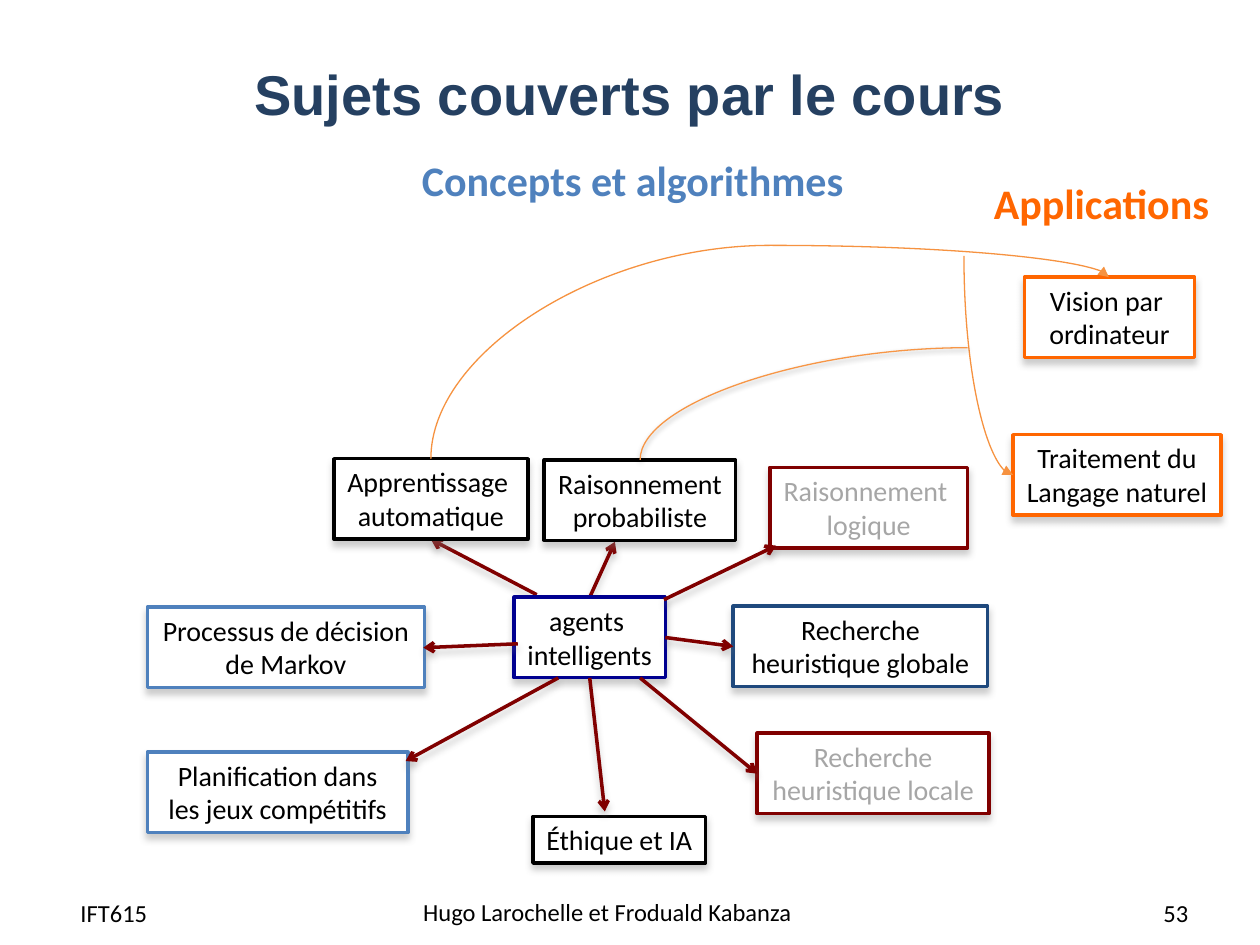
from pptx import Presentation
from pptx.dml.color import RGBColor
from pptx.enum.dml import MSO_LINE
from pptx.enum.shapes import MSO_CONNECTOR, MSO_SHAPE
from pptx.enum.text import MSO_ANCHOR, MSO_AUTO_SIZE, PP_ALIGN
from pptx.oxml import parse_xml
from pptx.oxml.ns import nsdecls, qn
from pptx.util import Pt


def color(value):
    return RGBColor.from_string(value)


def assign(target, values):
    for name, value in values.items():
        setattr(target, name, value)


class Painter:
    body_font = {"name": "Calibri", "size": Pt(16), "bold": False}
    title_font = {"name": "Arial", "size": Pt(32), "bold": True}
    heading_font = {"name": "Calibri", "size": Pt(24), "bold": True}
    footer_font = {"name": "Calibri", "size": Pt(14), "bold": False}
    box_frame = {"vertical_anchor": MSO_ANCHOR.TOP, "auto_size": MSO_AUTO_SIZE.SHAPE_TO_FIT_TEXT}
    heading_frame = {"word_wrap": False, "auto_size": MSO_AUTO_SIZE.SHAPE_TO_FIT_TEXT}
    footer_frame = {"word_wrap": True, "vertical_anchor": MSO_ANCHOR.MIDDLE}
    box_shadow = ("808080", 40, 4, 3)
    link_shadow = ("000000", 38, 3.1, 1.6)

    def __init__(self, slide):
        self.slide = slide

    def fill_text(self, frame, lines, font, ink, align):
        for index, line in enumerate(lines):
            para = frame.paragraphs[0] if index == 0 else frame.add_paragraph()
            para.alignment = align
            span = para.add_run()
            span.text = line
            assign(span.font, font)
            span.font.color.rgb = color(ink)

    def effects(self, item, shadow=None):
        properties = item._element.spPr
        for old in properties.findall(qn("a:effectLst")):
            properties.remove(old)
        inner = ""
        if shadow:
            ink, alpha, blur, distance = shadow
            inner = (
                f'<a:outerShdw blurRad="{Pt(blur)}" dist="{Pt(distance)}" dir="5400000" rotWithShape="0">'
                f'<a:srgbClr val="{ink}"><a:alpha val="{alpha * 1000}"/></a:srgbClr></a:outerShdw>'
            )
        properties.append(parse_xml(f'<a:effectLst {nsdecls("a")}>{inner}</a:effectLst>'))

    def stroke(self, line, ink, width):
        line.color.rgb = color(ink)
        assign(line, {"width": Pt(width), "dash_style": MSO_LINE.SOLID})

    def arrowhead(self, connector, kind):
        outline = connector.line._get_or_add_ln()
        outline.append(parse_xml(f'<a:tailEnd {nsdecls("a")} type="{kind}"/>'))

    def title(self, text, left, top, width, height):
        box = self.slide.shapes.title
        assign(box, {"left": Pt(left), "top": Pt(top), "width": Pt(width), "height": Pt(height)})
        box.text_frame.vertical_anchor = MSO_ANCHOR.MIDDLE
        self.fill_text(box.text_frame, [text], self.title_font, "254061", PP_ALIGN.CENTER)

    def label(self, text, place, font, layout, ink="000000", align=PP_ALIGN.LEFT):
        box = self.slide.shapes.add_textbox(*map(Pt, place))
        assign(box.text_frame, layout)
        self.fill_text(box.text_frame, [text], font, ink, align)

    def box(self, lines, left, top, width, border, ink="000000", wrap=False, height=46):
        box = self.slide.shapes.add_shape(
            MSO_SHAPE.RECTANGLE, Pt(left), Pt(top), Pt(width), Pt(height)
        )
        box.fill.solid()
        box.fill.fore_color.rgb = color("FFFFFF")
        self.stroke(box.line, border, 2)
        self.effects(box, self.box_shadow)
        assign(box.text_frame, {**self.box_frame, "word_wrap": wrap})
        self.fill_text(box.text_frame, lines, self.body_font, ink, PP_ALIGN.CENTER)

    def arrow(self, start, end):
        connector = self.slide.shapes.add_connector(
            MSO_CONNECTOR.STRAIGHT, *map(Pt, start + end)
        )
        self.stroke(connector.line, "800000", 2)
        self.arrowhead(connector, "arrow")
        self.effects(connector, self.box_shadow)

    def curve(self, start, end, turn, ink, preset="curvedConnector2", bend=None, head=None, shadow=None):
        middle_x, middle_y = (start[0] + end[0]) / 2, (start[1] + end[1]) / 2
        sign = 1 if turn == 90 else -1
        points = []
        for x, y in (start, end):
            points += [middle_x + sign * (y - middle_y), middle_y - sign * (x - middle_x)]
        connector = self.slide.shapes.add_connector(MSO_CONNECTOR.CURVE, *map(Pt, points))
        properties = connector._element.spPr
        properties.find(qn("a:xfrm")).set("rot", str(turn * 60000))
        geometry = properties.find(qn("a:prstGeom"))
        geometry.set("prst", preset)
        if bend:
            adjustments = geometry.find(qn("a:avLst"))
            adjustments.append(
                parse_xml(f'<a:gd {nsdecls("a")} name="adj1" fmla="val {round(bend * 100000)}"/>')
            )
        self.stroke(connector.line, ink, 0.75)
        if head:
            self.arrowhead(connector, head)
        self.effects(connector, shadow)


def main():
    deck = Presentation()
    assign(deck, {"slide_width": Pt(720), "slide_height": Pt(540)})
    page = Painter(deck.slides.add_slide(deck.slide_layouts[5]))
    black, red, blue, navy, orange, gray = "000000", "800000", "4F81BD", "1F497D", "FF6600", "A6A6A6"

    page.title("Sujets couverts par le cours", 36, 21.6, 648, 63.4)
    for text, place, align in (
        ("Hugo Larochelle et Froduald Kabanza", (234.7, 509.8, 250.6, 22.3), PP_ALIGN.LEFT),
        ("IFT615", (33.8, 510.5, 62.6, 22.3), PP_ALIGN.CENTER),
        ("53", (653, 506.9, 33.1, 28.8), PP_ALIGN.RIGHT),
    ):
        page.label(text, place, page.footer_font, page.footer_frame, align=align)

    for start, end in (((337, 341.3), (351.4, 309.6)), ((306.7, 339.8), (246.2, 308.2))):
        page.arrow(start, end)

    page.box(["agents ", "intelligents"], 293.8, 341.3, 86.4, "000090")
    page.box(["Raisonnement ", "logique"], 439.9, 267.1, 113, red, gray)
    page.box(["Apprentissage ", "automatique"], 190.8, 262.1, 110.9, black)
    page.box(["Processus de décision ", "de Markov"], 84.2, 347, 158.4, blue, wrap=True)
    page.box(["Planification dans les jeux compétitifs"], 84.2, 429.8, 149, blue, wrap=True)
    page.box(["Recherche heuristique locale"], 432.7, 419, 132.5, red, gray, wrap=True)
    page.box(["Recherche heuristique globale"], 419, 346.3, 145.4, navy, wrap=True)
    page.box(["Éthique et IA"], 304.6, 466.6, 98.6, black, height=26.6)
    page.box(["Raisonnement", "probabiliste"], 311, 262.8, 109.4, black)

    for start, end in (
        ((380.2, 364.3), (419, 369.4)),
        ((365.8, 387.4), (432.7, 442.1)),
        ((337, 387.4), (345.6, 463.7)),
        ((295.9, 367.9), (241.9, 370.1)),
        ((319, 387.4), (231.8, 434.9)),
        ((379.4, 342.7), (443.5, 311.8)),
    ):
        page.arrow(start, end)

    for text, place, ink in (
        ("Applications", (560.9, 97.9, 139, 36), orange),
        ("Concepts et algorithmes", (234, 85, 257.8, 36), blue),
    ):
        page.label(text, place, page.heading_font, page.heading_frame, ink)

    page.box(["Vision par ", "ordinateur"], 585.4, 158.4, 97.2, orange, wrap=True)
    page.curve((246.2, 262.1), (633.6, 158.4), 90, "F69240", "curvedConnector3", 1.175, "triangle")
    page.box(["Traitement du", "Langage naturel"], 578.9, 248.4, 118.8, orange)
    page.curve((550.8, 146.2), (578.9, 271.4), 270, "F69240", head="triangle")
    page.curve((365.8, 262.8), (553, 198.7), 90, "F79646", shadow=page.link_shadow)

    deck.save("out.pptx")


if __name__ == "__main__":
    main()
